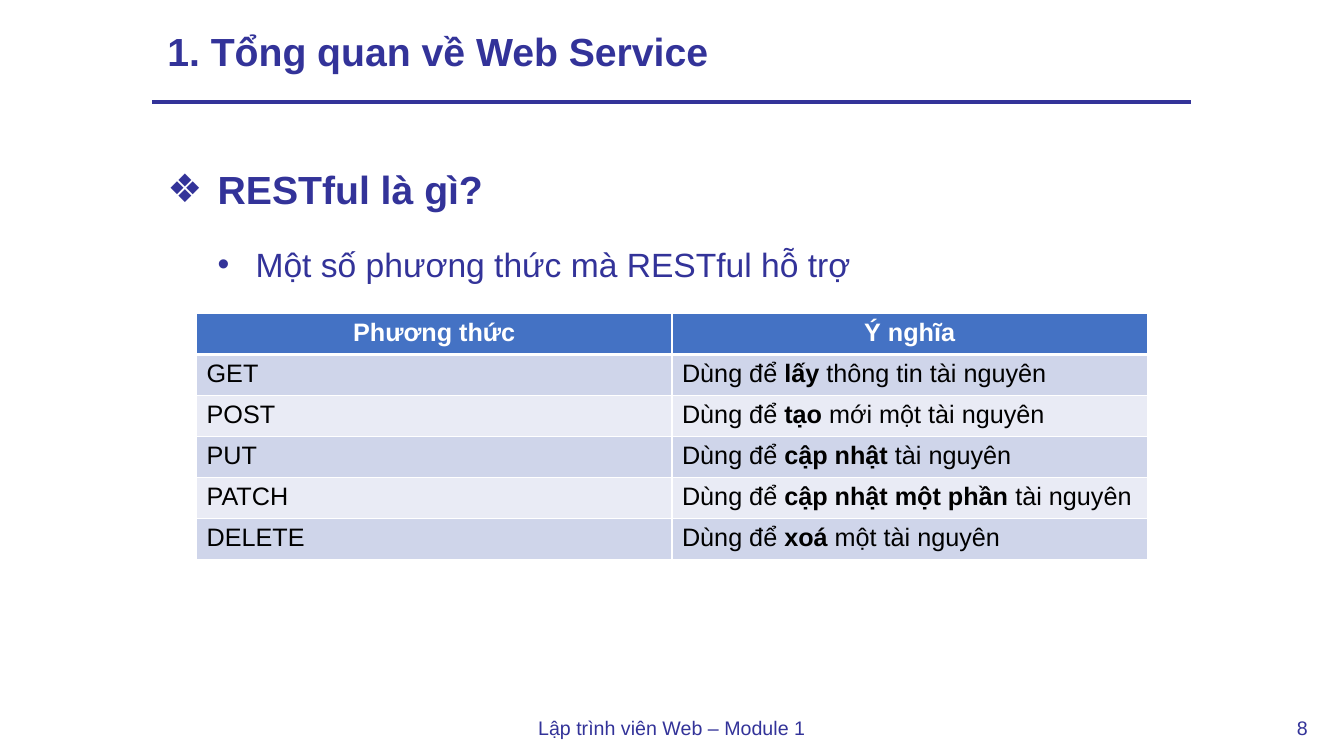
from lxml import etree
from pptx import Presentation
from pptx.dml.color import RGBColor
from pptx.enum.shapes import MSO_CONNECTOR
from pptx.enum.text import MSO_ANCHOR, MSO_AUTO_SIZE, PP_ALIGN
from pptx.oxml.ns import qn
from pptx.util import Pt

LEFT, CENTER, JUSTIFY = PP_ALIGN.LEFT, PP_ALIGN.CENTER, PP_ALIGN.JUSTIFY
STRAIGHT = MSO_CONNECTOR.STRAIGHT
NO_AUTOFIT = MSO_AUTO_SIZE.NONE
TOP = MSO_ANCHOR.TOP

COLORS = {"navy": "333399", "header": "4472C4", "odd": "CFD5EA",
          "even": "E9EBF5", "white": "FFFFFF", "black": "000000"}
FONT = "Arial"

BULLETS = [
    {"text": "RESTful là gì?", "level": 0, "bullet": "❖", "margin": 36,
     "hanging": 36, "size": 28, "bold": True, "after": 8},
    {"text": "Một số phương thức mà RESTful hỗ trợ", "level": 1, "bullet": "•",
     "margin": 63, "hanging": 27, "size": 24, "bold": False, "after": 0},
]
HEADINGS = ["Phương thức", "Ý nghĩa"]
# Method, then the plain, bold and plain parts of its meaning
METHODS = [
    ("GET", "Dùng để ", "lấy", " thông tin tài nguyên"),
    ("POST", "Dùng để ", "tạo", " mới một tài nguyên"),
    ("PUT", "Dùng để ", "cập nhật ", "tài nguyên"),
    ("PATCH", "Dùng để ", "cập nhật một phần ", "tài nguyên"),
    ("DELETE", "Dùng để ", "xoá", " một tài nguyên"),
]


def rgb(name):
    return RGBColor.from_string(COLORS[name])


def place(shape, box):
    for name, value in zip(("left", "top", "width", "height"), box):
        setattr(shape, name, Pt(value))


def set_values(target, values):
    for name, value in values.items():
        setattr(target, name, value)


def add_run(paragraph, text, size, color, bold=False):
    run = paragraph.add_run()
    run.text = text
    set_values(run.font, {"name": FONT, "size": Pt(size), "bold": bold})
    run.font.color.rgb = rgb(color)


def add_title(slide, box, text):
    """Fill the title placeholder and draw the rule below it."""
    title = slide.shapes.title
    place(title, box)
    set_values(title.text_frame, {"auto_size": NO_AUTOFIT, "word_wrap": True,
                                  "vertical_anchor": TOP})
    paragraph = title.text_frame.paragraphs[0]
    set_values(paragraph, {"alignment": LEFT, "line_spacing": 0.9})
    add_run(paragraph, text, 28, "navy", True)

    left, top, width, height = box
    rule_left, rule_top = left - 3.6, top + height + 13
    rule = slide.shapes.add_connector(
        STRAIGHT, Pt(rule_left), Pt(rule_top), Pt(rule_left + 742.3), Pt(rule_top))
    rule.line.width = Pt(3)
    rule.line.color.rgb = rgb("navy")
    etree.SubElement(rule._element.spPr, qn("a:effectLst"))


def add_bullets(slide, box, items):
    body = slide.placeholders[1]
    place(body, box)
    frame = body.text_frame
    set_values(frame, {"auto_size": NO_AUTOFIT, "word_wrap": True,
                       "vertical_anchor": TOP})
    for index, item in enumerate(items):
        paragraph = frame.add_paragraph() if index else frame.paragraphs[0]
        set_values(paragraph, {
            "level": item["level"], "alignment": JUSTIFY, "line_spacing": 1.5,
            "space_before": Pt(0), "space_after": Pt(item["after"])})
        properties = paragraph._p.get_or_add_pPr()
        properties.set("marL", str(Pt(item["margin"])))
        properties.set("indent", str(-Pt(item["hanging"])))
        etree.SubElement(properties, qn("a:buFont"), typeface=FONT)
        etree.SubElement(properties, qn("a:buChar"), char=item["bullet"])
        add_run(paragraph, item["text"], item["size"], "navy", item["bold"])


def format_cell(cell, fill, top_width, bottom_width):
    """Draw white borders around the cell and fill it."""
    properties = cell._tc.get_or_add_tcPr()
    widths = {"a:lnL": 1, "a:lnR": 1, "a:lnT": top_width, "a:lnB": bottom_width}
    for tag, width in widths.items():
        line = etree.SubElement(properties, qn(tag), w=str(Pt(width)))
        solid = etree.SubElement(line, qn("a:solidFill"))
        etree.SubElement(solid, qn("a:srgbClr"), val=COLORS["white"])
    cell.fill.solid()
    cell.fill.fore_color.rgb = rgb(fill)


def add_method_table(slide, box, headings, methods):
    left, top, width, height = (Pt(value) for value in box)
    row_count = len(methods) + 1
    table = slide.shapes.add_table(
        row_count, len(headings), left, top, width, height).table

    for cell, heading in zip(table.rows[0].cells, headings):
        format_cell(cell, "header", 1, 3)
        paragraph = cell.text_frame.paragraphs[0]
        paragraph.alignment = CENTER
        add_run(paragraph, heading, 18, "white", True)

    for row, (method, *meaning) in enumerate(methods, 1):
        for column, parts in enumerate(([method], meaning)):
            cell = table.cell(row, column)
            format_cell(cell, "odd" if row % 2 else "even", 3 if row == 1 else 1, 1)
            paragraph = cell.text_frame.paragraphs[0]
            for index, part in enumerate(parts):
                add_run(paragraph, part, 18, "black", index == 1)


def add_footer_text(slide, box, text):
    shape = slide.shapes.add_textbox(*(Pt(value) for value in box))
    shape.text_frame.word_wrap = False
    paragraph = shape.text_frame.paragraphs[0]
    set_values(paragraph, {"alignment": CENTER, "line_spacing": 1.5})
    add_run(paragraph, text, 14, "navy")


def main():
    presentation = Presentation()
    set_values(presentation, {"slide_width": Pt(960), "slide_height": Pt(540)})
    slide = presentation.slides.add_slide(presentation.slide_layouts[1])
    add_title(slide, (112.3, 19.4, 749.5, 40.3), "1. Tổng quan về Web Service")
    add_bullets(slide, (112.3, 97.9, 761.8, 104.4), BULLETS)
    add_method_table(slide, (140.4, 223.9, 679.2, 175.7), HEADINGS, METHODS)
    add_footer_text(slide, (375.1, 499.7, 209.5, 29.5),
                    "Lập trình viên Web – Module 1")
    add_footer_text(slide, (914.4, 499.7, 31.7, 29.5), "8")
    presentation.save("out.pptx")


if __name__ == "__main__":
    main()
